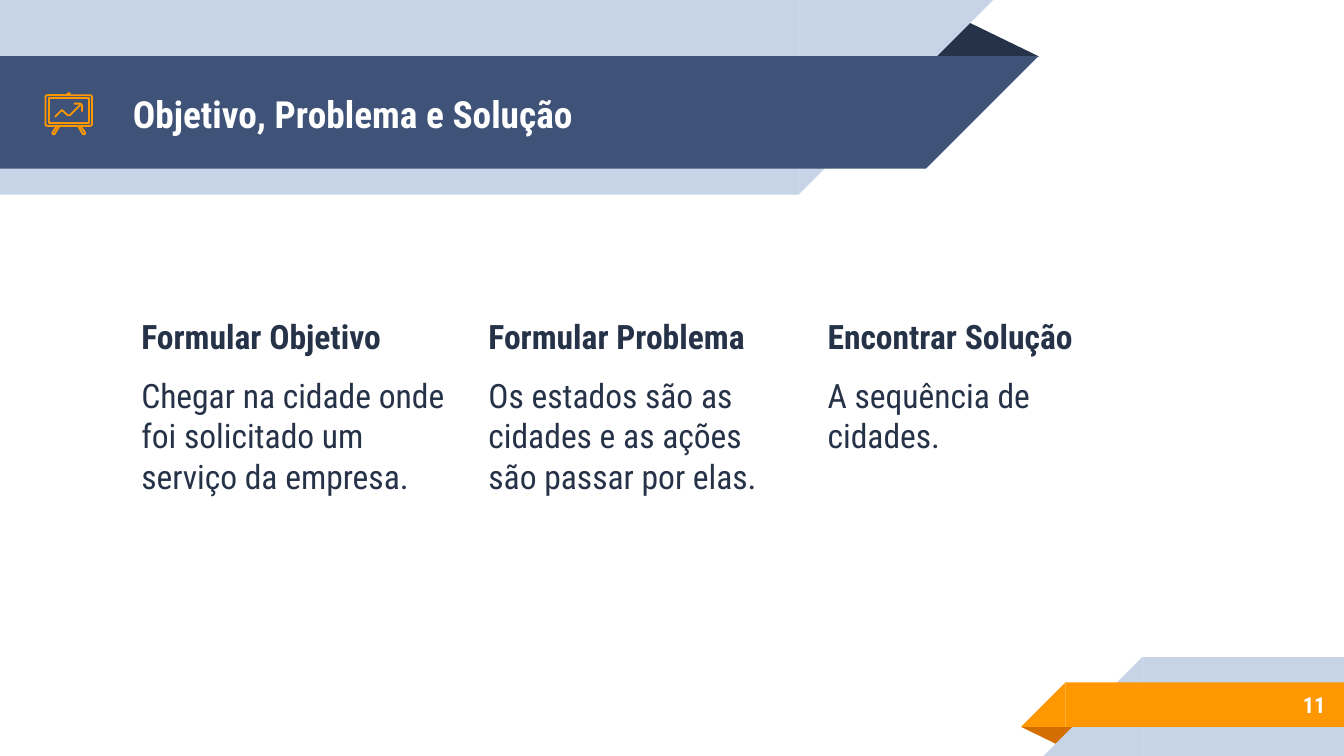
from dataclasses import dataclass

from lxml import etree
from pptx import Presentation
from pptx import util as u
from pptx.dml.color import RGBColor
from pptx.enum import shapes, text
from pptx.oxml.ns import qn


@dataclass(frozen=True)
class Theme:
    font: str = "Roboto Condensed"
    pale: str = "C7D3E6"
    blue: str = "3F5378"
    navy: str = "263248"
    orange: str = "FF9800"
    rust: str = "D26F00"
    white: str = "FFFFFF"
    title_size: int = 20
    body_size: int = 18
    number_size: int = 12
    icon_line: float = 0.96


class SlideBuilder:
    def __init__(self, slide, theme):
        self.slide = slide
        self.theme = theme

    def block(self, kind, left, top, width, height, color):
        """Add a filled preset shape without an outline."""
        shape = self.slide.shapes.add_shape(
            kind, u.Cm(left), u.Cm(top), u.Cm(width), u.Cm(height))
        shape.shadow.inherit = False
        shape.fill.solid()
        shape.fill.fore_color.rgb = RGBColor.from_string(color)
        shape.line.fill.background()
        return shape

    def ribbon(self, left, top, width, height, color, tail_right):
        """Add a bar with a 45-degree tail on one end."""
        self.block(shapes.MSO_SHAPE.RECTANGLE, left, top, width, height, color)
        tail_left = left + width if tail_right else left - height
        tail = self.block(shapes.MSO_SHAPE.RIGHT_TRIANGLE,
                          tail_left, top, height, height, color)
        tail._element.spPr.find(qn("a:xfrm")).set("flipH", "1")
        tail.rotation = 180 if tail_right else 0

    def fold(self, left, top, width, height, color, rotation=0):
        """Add the dark triangle that shows behind a ribbon."""
        shape = self.block(shapes.MSO_SHAPE.ISOSCELES_TRIANGLE,
                           left, top, width, height, color)
        shape.adjustments[0] = 0.324
        shape.rotation = rotation

    def outline(self, shape):
        """Give an icon part its thin line and no fill."""
        shape.shadow.inherit = False
        shape.fill.background()
        shape.line.color.rgb = RGBColor.from_string(self.theme.orange)
        shape.line.width = u.Pt(self.theme.icon_line)

    def stroke(self, points, close=False):
        """Add an icon line through points given in centimetres."""
        corners = [(u.Cm(x), u.Cm(y)) for x, y in points]
        builder = self.slide.shapes.build_freeform(*corners[0])
        builder.add_line_segments(corners[1:], close=close)
        self.outline(builder.convert_to_shape())

    def frame(self, left, top, width, height):
        """Add the rounded border of the icon board."""
        shape = self.slide.shapes.add_shape(
            shapes.MSO_SHAPE.ROUNDED_RECTANGLE,
            u.Cm(left), u.Cm(top), u.Cm(width), u.Cm(height))
        shape.adjustments[0] = 0.06
        self.outline(shape)

    def set_frame(self, shape, left, top, width, height, anchor):
        """Place a text shape and set its margins and anchor."""
        shape.left, shape.top = u.Cm(left), u.Cm(top)
        shape.width, shape.height = u.Cm(width), u.Cm(height)
        frame = shape.text_frame
        frame.word_wrap = True
        frame.auto_size = text.MSO_AUTO_SIZE.NONE
        frame.vertical_anchor = anchor
        frame.margin_left = frame.margin_right = u.Cm(0.25)
        frame.margin_top = frame.margin_bottom = u.Cm(0.25)
        return frame

    def set_paragraph(self, paragraph, words, size, color, bold=True,
                      align=text.PP_ALIGN.LEFT, before=0, after=0):
        paragraph.text = words
        paragraph.alignment = align
        paragraph.line_spacing = 1.0
        paragraph.space_before, paragraph.space_after = u.Pt(before), u.Pt(after)
        font = paragraph.font
        font.name, font.size, font.bold = self.theme.font, u.Pt(size), bold
        font.color.rgb = RGBColor.from_string(color)

    def placeholder(self, index):
        """Bring a placeholder in front of the ribbons."""
        shape = next(item for item in self.slide.placeholders
                     if item.placeholder_format.idx == index)
        self.slide.shapes._spTree.append(shape._element)
        return shape

    def title(self, words):
        frame = self.set_frame(self.placeholder(0), 2.26, 1.09, 14.6, 2.13,
                               text.MSO_ANCHOR.MIDDLE)
        self.set_paragraph(frame.paragraphs[0], words,
                           self.theme.title_size, self.theme.white)

    def column(self, index, left, heading, body):
        frame = self.set_frame(self.placeholder(index), left, 5.72, 6.25, 3.96,
                               text.MSO_ANCHOR.TOP)
        size, color = self.theme.body_size, self.theme.navy
        self.set_paragraph(frame.paragraphs[0], heading, size, color, before=6)
        self.set_paragraph(frame.add_paragraph(), body, size, color, bold=False,
                           before=10, after=10)
        for paragraph in frame.paragraphs:
            properties = paragraph._p.get_or_add_pPr()
            properties.set("marL", "0")
            properties.set("indent", "0")
            bullet = etree.Element(qn("a:buNone"))
            properties.find(qn("a:spcAft")).addnext(bullet)

    def page_number(self, words):
        box = self.slide.shapes.add_textbox(0, 0, 0, 0)
        frame = self.set_frame(box, 21.16, 12.88, 4.14, 0.89,
                               text.MSO_ANCHOR.MIDDLE)
        self.set_paragraph(frame.paragraphs[0], words, self.theme.number_size,
                           self.theme.white, align=text.PP_ALIGN.RIGHT)

    def remove_empty_placeholders(self):
        for shape in list(self.slide.placeholders):
            if not shape.text_frame.text:
                self.slide.shapes._spTree.remove(shape._element)


def main():
    presentation = Presentation()
    presentation.slide_width, presentation.slide_height = u.Cm(25.4), u.Cm(14.29)
    theme = Theme()
    # The comparison layout offers a title and enough body placeholders
    slide = presentation.slides.add_slide(presentation.slide_layouts[4])
    builder = SlideBuilder(slide, theme)

    # Header ribbons
    builder.fold(17.48, 0.36, 2.16, 0.71, theme.navy)
    builder.ribbon(0, 0, 15.09, 3.68, theme.pale, tail_right=True)
    builder.ribbon(0, 1.06, 17.5, 2.13, theme.blue, tail_right=True)

    # Footer ribbons
    builder.fold(19.3, 13.74, 1.09, 0.36, theme.rust, rotation=180)
    builder.ribbon(21.59, 12.42, 3.81, 1.87, theme.pale, tail_right=False)
    builder.ribbon(20.14, 12.9, 5.26, 0.84, theme.orange, tail_right=False)

    # Title and three columns
    builder.title("Objetivo, Problema e Solução")
    columns = [
        (2.42, "Formular Objetivo",
         "Chegar na cidade onde foi solicitado um serviço da empresa."),
        (8.98, "Formular Problema",
         "Os estados são as cidades e as ações são passar por elas."),
        (15.39, "Encontrar Solução", "A sequência de cidades."),
    ]
    for index, column in enumerate(columns, start=1):
        builder.column(index, *column)
    builder.page_number("11")
    builder.remove_empty_placeholders()

    # Presentation board icon: frame, screen, knob, legs and rising arrow
    builder.frame(0.86, 1.8, 0.88, 0.58)
    builder.stroke([(0.92, 1.86), (0.92, 2.33), (1.68, 2.33), (1.68, 1.86)],
                   close=True)
    builder.stroke([(1.32, 1.8), (1.32, 1.77), (1.3, 1.76), (1.28, 1.77),
                    (1.28, 1.8)])
    leg = [(1.07, 2.39), (0.99, 2.51), (1, 2.54), (1.03, 2.54), (1.12, 2.39)]
    builder.stroke(leg)
    builder.stroke([(2.6 - x, y) for x, y in leg])
    builder.stroke([(1.52, 1.98), (1.32, 2.18), (1.28, 2.18), (1.17, 2.08),
                    (1.04, 2.21)])
    builder.stroke([(1.4, 1.96), (1.52, 1.96), (1.55, 1.99), (1.55, 2.11)])

    presentation.save("out.pptx")


if __name__ == "__main__":
    main()
